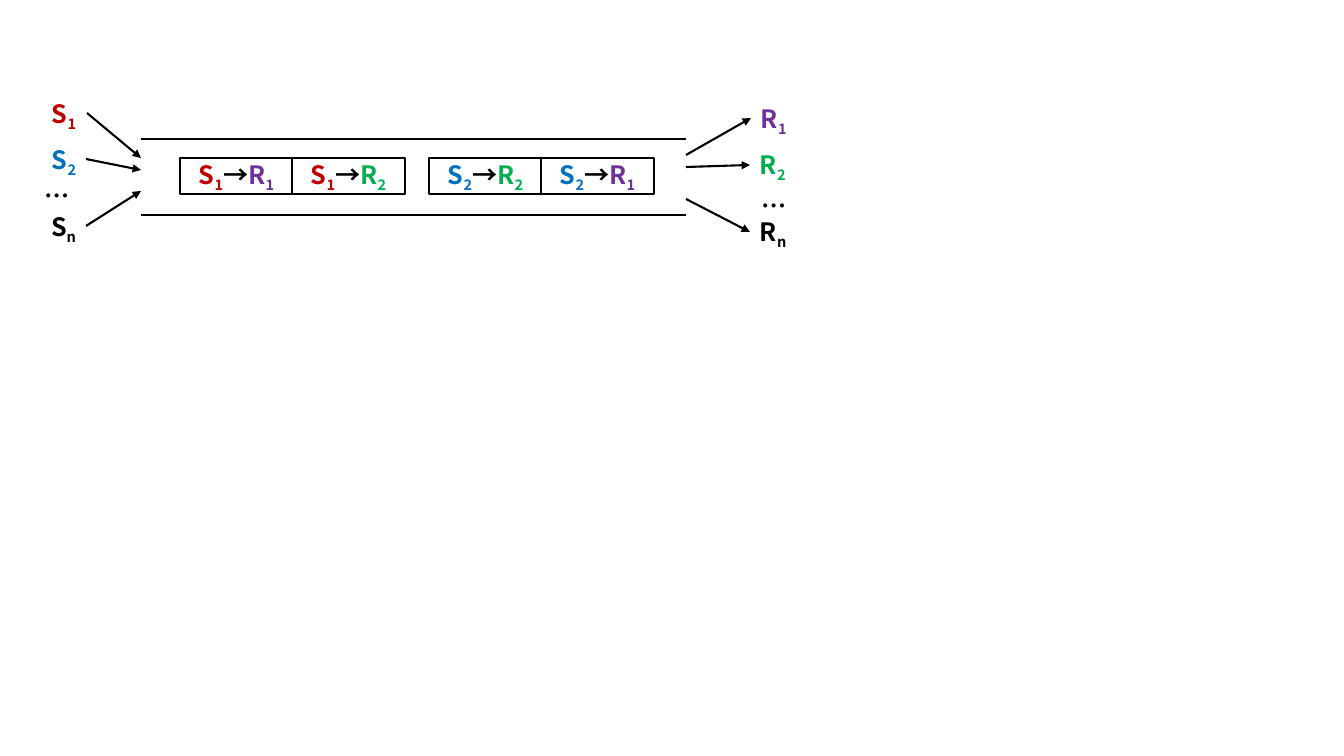
from lxml import etree
from pptx import Presentation
from pptx.dml.color import RGBColor
from pptx.enum.shapes import MSO_CONNECTOR, MSO_SHAPE
from pptx.enum.text import MSO_ANCHOR, MSO_AUTO_SIZE, PP_ALIGN
from pptx.oxml.ns import qn
from pptx.util import Pt

RECT, LINE = MSO_SHAPE.RECTANGLE, MSO_CONNECTOR.STRAIGHT
MIDDLE, GROW = MSO_ANCHOR.MIDDLE, MSO_AUTO_SIZE.SHAPE_TO_FIT_TEXT
LEFT, CENTER, RIGHT = PP_ALIGN.LEFT, PP_ALIGN.CENTER, PP_ALIGN.RIGHT

# Content: a node is its letter and index
PAIRS = [[("S1", "R1"), ("S1", "R2")], [("S2", "R2"), ("S2", "R1")]]
SENDERS = [("S1", 30, 93), ("S2", 30, 139), ("Sn", 30, 206), ("…", 24, 175)]
RECEIVERS = [("R1", 751, 98), ("R2", 750, 144), ("Rn", 750, 211),
             ("…", 752, 185)]
ARROWS = [(87, 113, 141, 158), (86, 159, 141, 170), (86, 226, 141, 191),
          (686, 155, 751, 118), (686, 167, 750, 165), (686, 199, 750, 232)]
RAILS = [139, 215]

THEME = {
    "font": "Noto Sans CJK SC", "size": 18, "line": 1.5,
    "ink": "000000", "paper": "FFFFFF",
    "S1": "C00000", "S2": "0070C0", "R1": "7030A0", "R2": "00B050",
}

# Layout in pixels
SCALE = 914400 / 100.8
CHANNEL = (141, 686)
LABEL = (56, 40)
BOX_X, BOX_Y, BOX_W, BOX_H = 180, 158, 113, 36
BOX_STEP, PAIR_STEP = 112, 249


def px(*vals):
    return [round(v * SCALE) for v in vals]


def color(key):
    return RGBColor.from_string(THEME.get(key, THEME["ink"]))


def write(frame, parts, align):
    """Write nodes and signs; the index of a node becomes a subscript."""
    para = frame.paragraphs[0]
    para.alignment = align
    for part in parts:
        for pos, char in enumerate(part):
            run = para.add_run()
            run.text = char
            font = run.font
            font.name, font.size, font.bold = THEME["font"], Pt(THEME["size"]), True
            font.color.rgb = color(part)
            props = run._r.get_or_add_rPr()
            etree.SubElement(props, qn("a:ea"), typeface=THEME["font"])
            if pos:
                props.set("baseline", "-25000")


def stroke(line):
    line.color.rgb = color("ink")
    line.width = Pt(THEME["line"])


def box(x, pair):
    shape = slide.shapes.add_shape(RECT, *px(x, BOX_Y, BOX_W, BOX_H))
    shape.shadow.inherit = False
    shape.fill.solid()
    shape.fill.fore_color.rgb = color("paper")
    stroke(shape.line)
    shape.text_frame.vertical_anchor = MIDDLE
    write(shape.text_frame, (pair[0], "→", pair[1]), CENTER)


def label(name, x, y, align):
    frame = slide.shapes.add_textbox(*px(x, y, *LABEL)).text_frame
    frame.word_wrap = True
    frame.auto_size = GROW
    write(frame, [name], align)


def link(ends, head=False):
    wire = slide.shapes.add_connector(LINE, *px(*ends))
    stroke(wire.line)
    if head:
        etree.SubElement(wire.line._get_or_add_ln(), qn("a:tailEnd"), type="triangle")
    etree.SubElement(wire._element.spPr, qn("a:effectLst"))


deck = Presentation()
deck.slide_width, deck.slide_height = px(1344, 756)
slide = deck.slides.add_slide(deck.slide_layouts[6])

# Message boxes
for group, pairs in enumerate(PAIRS):
    for col, pair in enumerate(pairs):
        box(BOX_X + group * PAIR_STEP + col * BOX_STEP, pair)

# Channel walls
for y in RAILS:
    link((CHANNEL[1], y, CHANNEL[0], y))

# Senders and receivers
for nodes, align in ((SENDERS, RIGHT), (RECEIVERS, LEFT)):
    for name, x, y in nodes:
        label(name, x, y, align)

# Arrows into and out of the channel
for ends in ARROWS:
    link(ends, head=True)

deck.save("out.pptx")
